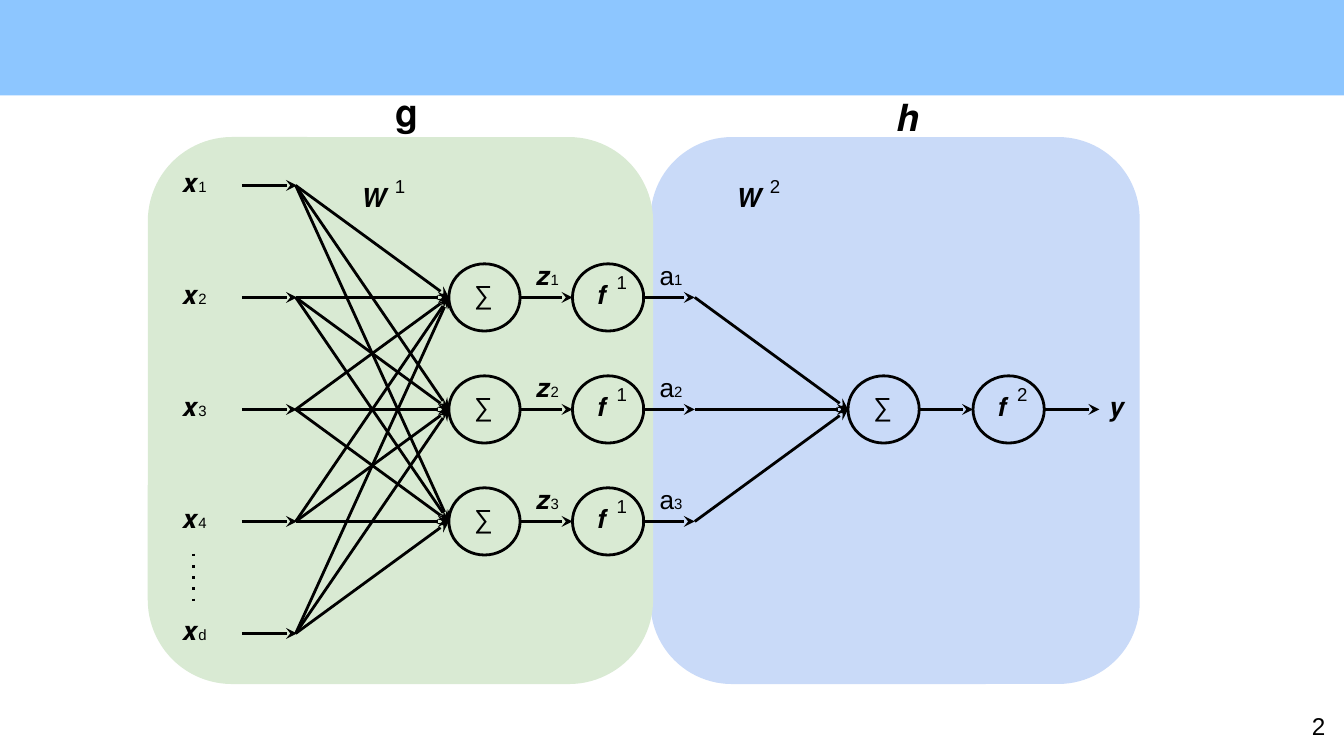
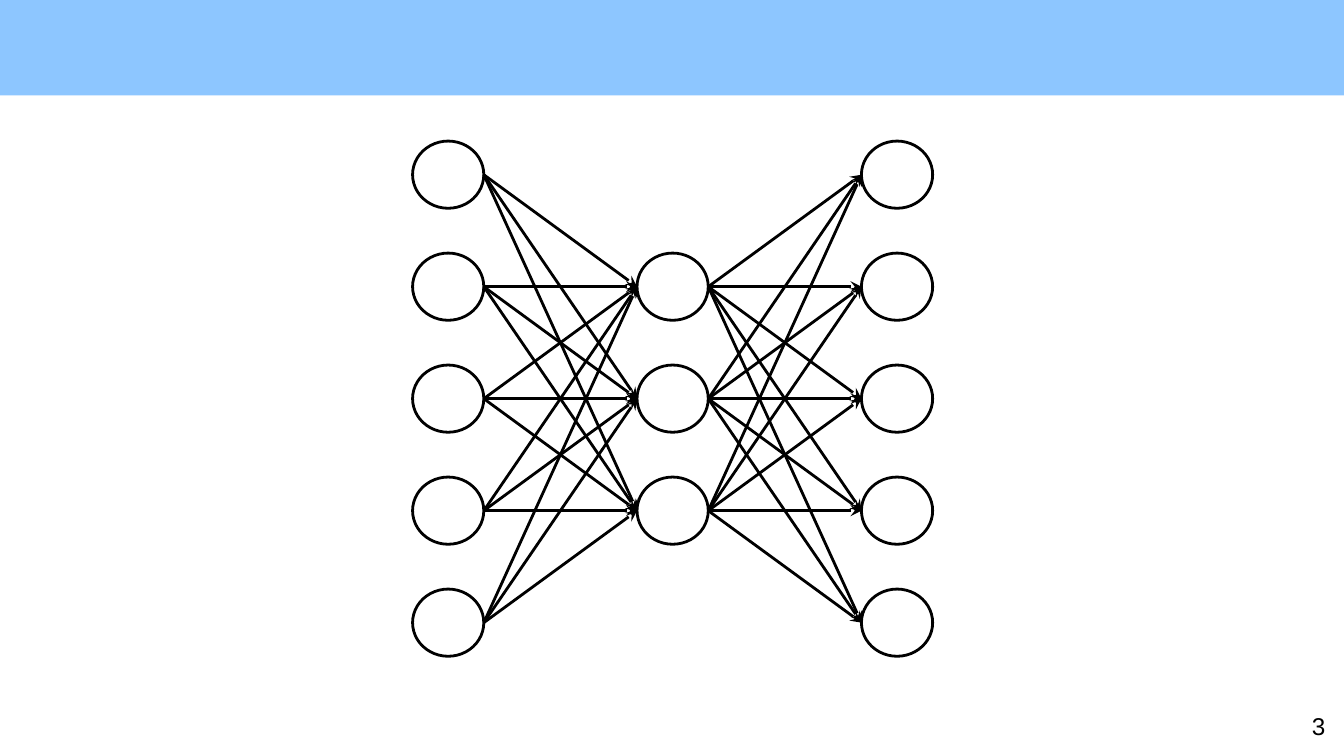
from itertools import product

from lxml.etree import SubElement
from pptx import Presentation
from pptx.dml.color import RGBColor
from pptx.enum.shapes import MSO_CONNECTOR, MSO_SHAPE
from pptx.enum.text import PP_ALIGN
from pptx.oxml.ns import qn
from pptx.util import Inches, Pt

BLACK = RGBColor(0x00, 0x00, 0x00)
BAND = RGBColor(0x8D, 0xC6, 0xFF)
GREEN = RGBColor(0xD9, 0xEA, 0xD3)
BLUE = RGBColor(0xC9, 0xDA, 0xF8)
FONT = "Arial"
PITCH = 2.5 / 3
NODE_W, NODE_H = 0.53, 0.5
TEXT_H = 0.49


def add_panel(s, kind, box, color):
    """Add a filled shape without outline."""
    sp = s.shapes.add_shape(kind, *map(Inches, box))
    sp.shadow.inherit = False
    sp.fill.solid()
    sp.fill.fore_color.rgb = color
    sp.line.fill.background()
    return sp


def add_text(s, x, y, w, runs, h=TEXT_H, align=PP_ALIGN.LEFT):
    """Add a one-line text box from (text, size) runs."""
    sp = s.shapes.add_textbox(*map(Inches, (x, y, w, h)))
    tf = sp.text_frame
    tf.word_wrap = True
    tf.margin_left = tf.margin_right = Inches(0.1)
    tf.margin_top = tf.margin_bottom = Inches(0.1)
    p = tf.paragraphs[0]
    p.alignment = align
    for text, size in runs:
        r = p.add_run()
        r.text = text
        r.font.name = FONT
        r.font.size = Pt(size)
        r.font.color.rgb = BLACK


def add_line(s, start, end, end_mark=("a:tailEnd", {"type": "stealth"})):
    """Add a straight line, ending in an arrowhead unless told otherwise."""
    points = map(Inches, (*start, *end))
    sp = s.shapes.add_connector(MSO_CONNECTOR.STRAIGHT, *points)
    sp.line.color.rgb = BLACK
    sp.line.width = Pt(1.5)
    tag, attributes = end_mark
    SubElement(sp.line._get_or_add_ln(), qn(tag), attributes)
    SubElement(sp._element.spPr, qn("a:effectLst"))


def add_fan(s, x1, starts, x2, ends):
    """Join every start row to every end row with arrows."""
    for y1, y2 in product(starts, ends):
        add_line(s, (x1, y1), (x2, y2))


def add_node(s, x, y):
    """Add an outlined neuron whose left side is x and whose middle is y."""
    box = x, y - NODE_H / 2, NODE_W, NODE_H
    sp = s.shapes.add_shape(MSO_SHAPE.OVAL, *map(Inches, box))
    sp.shadow.inherit = False
    sp.fill.background()
    sp.line.color.rgb = BLACK
    sp.line.width = Pt(1.5)


def add_sum_node(s, x, y):
    """Add a summing neuron."""
    add_node(s, x, y)
    add_text(s, x + 0.09, y - 0.24, 0.39, [("∑", 14)])


def add_activation_node(s, x, y, layer):
    """Add an activation neuron with its layer as superscript."""
    add_node(s, x, y)
    add_text(s, x + 0.09, y - 0.24, 0.42, [("𝒇", 14)])
    add_text(s, x + 0.23, y - 0.28, 0.27, [(layer, 10)])


def add_weight(s, x, y, layer):
    """Add a weight matrix label with its layer as superscript."""
    add_text(s, x, y, 0.53, [("𝑾", 14)])
    add_text(s, x + 0.23, y - 0.03, 0.27, [(layer, 10)])


def get_rows(first, count):
    """Return the middles of evenly spaced neurons."""
    return [first + i * PITCH for i in range(count)]


def add_encoder(s, x, y):
    """Fill the encoder panel whose corner is x, y."""
    inputs = get_rows(y + 0.36, 5)
    hidden = inputs[1:4]
    add_text(s, x + 1.74, y - 0.46, 0.42, [("𝐠", 20)])
    add_weight(s, x + 1.51, y + 0.23, "1")
    for row, index in zip(inputs, "1234d"):
        add_text(s, x + 0.08, row - 0.24, 0.53, [("𝒙", 14), (index, 8)],
                 align=PP_ALIGN.CENTER)
        add_line(s, (x + 0.7, row), (x + 1.11, row))
    add_line(s, (x + 0.34, y + 3.1), (x + 0.34, y + 3.45),
             ("a:prstDash", {"val": "dot"}))
    add_fan(s, x + 1.1, inputs, x + 2.24, hidden)
    for row, index in zip(hidden, "123"):
        add_sum_node(s, x + 2.24, row)
        add_text(s, x + 2.79, row - 0.38, 0.42, [("𝒛", 14), (index, 8)])
        add_line(s, (x + 2.77, row), (x + 3.16, row))
        add_activation_node(s, x + 3.16, row, "1")


def add_decoder(s, x, y):
    """Fill the decoder panel whose corner is x, y."""
    hidden = get_rows(y + 0.36, 5)[1:4]
    output = hidden[1]
    add_text(s, x + 1.73, y - 0.42, 0.42, [("𝒉", 20)])
    add_weight(s, x + 0.56, y + 0.23, "2")
    for row, index in zip(hidden, "123"):
        add_text(s, x - 0.03, row - 0.38, 0.42, [("a", 14), (index, 8)])
        add_line(s, (x - 0.06, row), (x + 0.33, row))
    add_fan(s, x + 0.33, hidden, x + 1.47, [output])
    add_sum_node(s, x + 1.47, output)
    add_line(s, (x + 2, output), (x + 2.4, output))
    add_activation_node(s, x + 2.4, output, "2")
    add_line(s, (x + 2.93, output), (x + 3.34, output))
    add_text(s, x + 3.21, output - 0.24, 0.53, [("𝒚", 14)],
             align=PP_ALIGN.CENTER)


def add_network(s, x, y, layers=(5, 3, 5), step=1.67):
    """Draw fully connected layers, the tallest starting at x, y."""
    middle = y + (max(layers) - 1) * PITCH / 2
    columns = [(x + i * step, get_rows(middle - (n - 1) * PITCH / 2, n))
               for i, n in enumerate(layers)]
    for left, rows in columns:
        for row in rows:
            add_node(s, left, row)
    for (left, starts), (right, ends) in zip(columns, columns[1:]):
        add_fan(s, left + NODE_W, starts, right, ends)


def add_base_slide(prs, number):
    """Add a blank slide with its page number."""
    s = prs.slides.add_slide(prs.slide_layouts[6])
    add_text(s, 9.36, 5.19, 0.6, [(number, 13)], 0.43, PP_ALIGN.RIGHT)
    return s


def move_band_to_master(prs, s):
    """Make the top band on s and hand it to the slide master."""
    band = add_panel(s, MSO_SHAPE.RECTANGLE, (0, 0, 10, 0.71), BAND)
    band._element.nvSpPr.cNvPr.set("id", "20")
    prs.slide_master.shapes._spTree.append(band._element)


def add_composition_slide(prs):
    """Build the slide of the two composed functions."""
    s = add_base_slide(prs, "2")
    move_band_to_master(prs, s)
    encoder_box = 1.1, 1.02, 3.76, 4.07
    decoder_box = 4.84, 1.02, 3.64, 4.07
    for box, color in ((decoder_box, BLUE), (encoder_box, GREEN)):
        add_panel(s, MSO_SHAPE.ROUNDED_RECTANGLE, box, color)
    add_encoder(s, *encoder_box[:2])
    add_decoder(s, *decoder_box[:2])


def add_network_slide(prs):
    """Build the slide of the plain network."""
    s = add_base_slide(prs, "3")
    add_network(s, 3.07, 1.3)


def main():
    """Build and save the presentation."""
    prs = Presentation()
    prs.slide_width = Inches(10)
    prs.slide_height = prs.slide_width * 9 // 16
    add_composition_slide(prs)
    add_network_slide(prs)
    prs.save("out.pptx")


if __name__ == "__main__":
    main()
